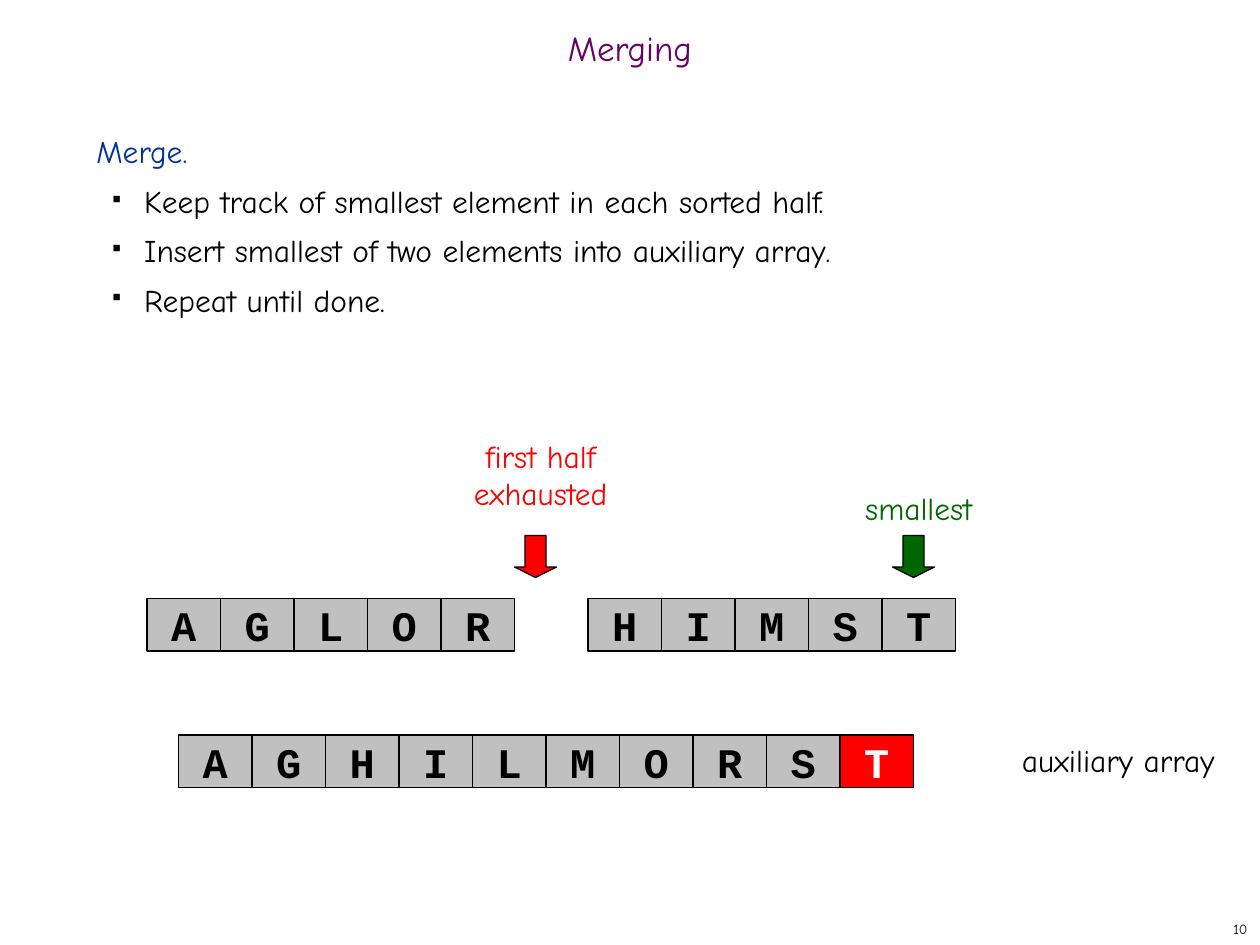
from lxml.etree import SubElement
from pptx import Presentation
from pptx.dml.color import RGBColor
from pptx.enum.shapes import MSO_SHAPE
from pptx.enum.text import MSO_ANCHOR, MSO_AUTO_SIZE, PP_ALIGN
from pptx.oxml.ns import qn
from pptx.util import Inches, Pt

COLORS = {
    "black": "000000",
    "white": "FFFFFF",
    "gray": "C0C0C0",
    "red": "FF0000",
    "green": "006600",
    "blue": "003399",
    "purple": "660066",
    "arrow_line": "010000",
}
BODY_FONT = "Comic Neue"
CELL_FONT = "Courier New"
COLUMNS, ROWS = 120, 90
SLIDE_WIDTH, SLIDE_HEIGHT = Inches(10), Inches(7.5)
CELL_COLUMNS, CELL_ROWS = 7, 5
ARROW_SIZE = 4


def color(name):
    return RGBColor.from_string(COLORS[name])


def grid_box(left, top, width, height):
    column, row = SLIDE_WIDTH / COLUMNS, SLIDE_HEIGHT / ROWS
    return [round(length) for length in (left * column, top * row, width * column, height * row)]


def write_text(paragraph, text, size=18, font=BODY_FONT, ink="black", bold=False,
               align=PP_ALIGN.CENTER, before=0, spacing=1.0):
    paragraph.text = text
    paragraph.alignment = align
    paragraph.space_before = Pt(before)
    paragraph.line_spacing = spacing
    for run in paragraph.runs:
        run.font.size = Pt(size)
        run.font.name = font
        run.font.bold = bold
        run.font.color.rgb = color(ink)


def add_bullet(paragraph):
    properties = paragraph._p.get_or_add_pPr()
    properties.set("marL", str(Inches(0.38)))
    properties.set("indent", str(Inches(-0.25)))
    bullet_color = SubElement(properties, qn("a:buClr"))
    SubElement(bullet_color, qn("a:srgbClr"), val=COLORS["black"])
    SubElement(properties, qn("a:buSzPct"), val="35000")
    SubElement(properties, qn("a:buChar"), char="■")


def add_frame(shapes, box, anchor=MSO_ANCHOR.TOP, auto_size=MSO_AUTO_SIZE.NONE):
    frame = shapes.add_textbox(*grid_box(*box)).text_frame
    frame.word_wrap = True
    frame.auto_size = auto_size
    frame.vertical_anchor = anchor
    return frame


def add_label(shapes, box, text, ink="black"):
    frame = add_frame(shapes, box, auto_size=MSO_AUTO_SIZE.SHAPE_TO_FIT_TEXT)
    write_text(frame.paragraphs[0], text, ink=ink, before=11.2)


def add_block(shapes, kind, box, fill, line):
    shape = shapes.add_shape(kind, *grid_box(*box))
    shape.shadow.inherit = False
    shape.fill.solid()
    shape.fill.fore_color.rgb = color(fill)
    shape.line.color.rgb = color(line)
    shape.line.width = Pt(0.75)
    return shape


def add_array(shapes, left, top, letters, highlighted=None):
    for index, letter in enumerate(letters):
        fill, ink = ("red", "white") if index == highlighted else ("gray", "black")
        box = (left + index * CELL_COLUMNS, top, CELL_COLUMNS, CELL_ROWS)
        frame = add_block(shapes, MSO_SHAPE.RECTANGLE, box, fill, "black").text_frame
        frame.word_wrap = False
        frame.vertical_anchor = MSO_ANCHOR.MIDDLE
        write_text(frame.paragraphs[0], letter, size=24, font=CELL_FONT, ink=ink, bold=True)


def add_pointer(shapes, label_box, arrow_left, arrow_top, text, ink):
    add_label(shapes, label_box, text, ink)
    arrow_box = (arrow_left, arrow_top, ARROW_SIZE, ARROW_SIZE)
    arrow = add_block(shapes, MSO_SHAPE.DOWN_ARROW, arrow_box, ink, "arrow_line")
    arrow.adjustments[0] = 0.5
    arrow.adjustments[1] = 0.25


def place_title(title, box, text):
    title.left, title.top, title.width, title.height = grid_box(*box)
    frame = title.text_frame
    frame.auto_size = MSO_AUTO_SIZE.NONE
    frame.vertical_anchor = MSO_ANCHOR.MIDDLE
    write_text(frame.paragraphs[0], text, size=20, ink="purple", spacing=0.7)


def add_steps(shapes, box, heading, steps):
    frame = add_frame(shapes, box)
    write_text(frame.paragraphs[0], heading, ink="blue", align=PP_ALIGN.LEFT, before=4.5)
    for step in steps:
        paragraph = frame.add_paragraph()
        paragraph.level = 1
        write_text(paragraph, step, align=PP_ALIGN.LEFT, before=4.5, spacing=1.1)
        add_bullet(paragraph)


def add_page_number(shapes, box, number):
    frame = add_frame(shapes, box, anchor=MSO_ANCHOR.MIDDLE)
    write_text(frame.paragraphs[0], number, size=8, align=PP_ALIGN.RIGHT)


def build_merging_slide(presentation):
    slide = presentation.slides.add_slide(presentation.slide_layouts[5])
    shapes = slide.shapes
    place_title(shapes.title, (0, 2, COLUMNS, 6), "Merging")
    add_steps(shapes, (8, 12, 103, 71), "Merge.", [
        "Keep track of smallest element in each sorted half.",
        "Insert smallest of two elements into auxiliary array.",
        "Repeat until done.",
    ])
    add_pointer(shapes, (39, 41, 25, 8.4), 49, 51, "first half\nexhausted", "red")
    add_pointer(shapes.add_group_shape().shapes, (75, 46, 25, 4.8), 85, 51, "smallest", "green")
    for left, letters in ((14, "AGLOR"), (56, "HIMST")):
        add_array(shapes.add_group_shape().shapes, left, 57, letters)
    add_array(shapes, 17, 70, "AGHILMORST", highlighted=9)
    add_label(shapes, (95, 70, 23, 4.8), "auxiliary array")
    add_page_number(shapes, (95, 87, 25, 3), "10")


def main():
    presentation = Presentation()
    presentation.slide_width, presentation.slide_height = SLIDE_WIDTH, SLIDE_HEIGHT
    build_merging_slide(presentation)
    presentation.save("out.pptx")


if __name__ == "__main__":
    main()
